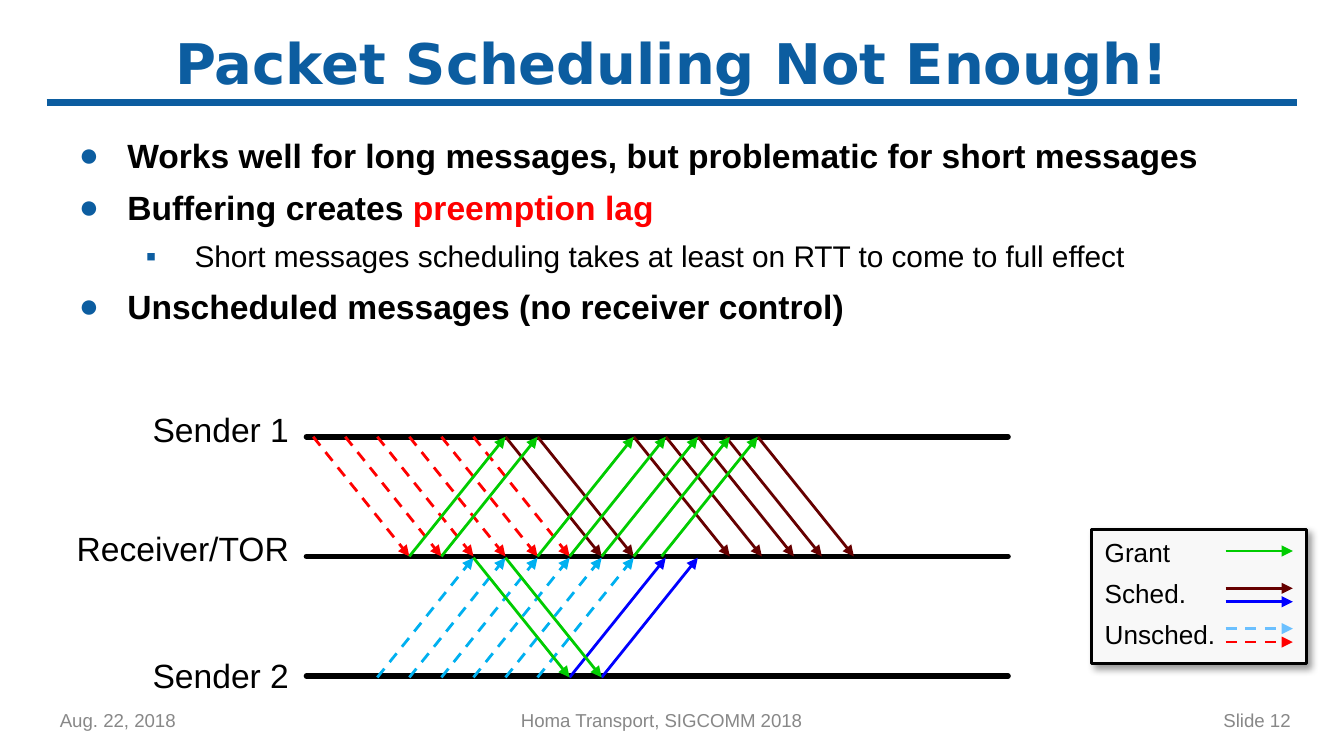
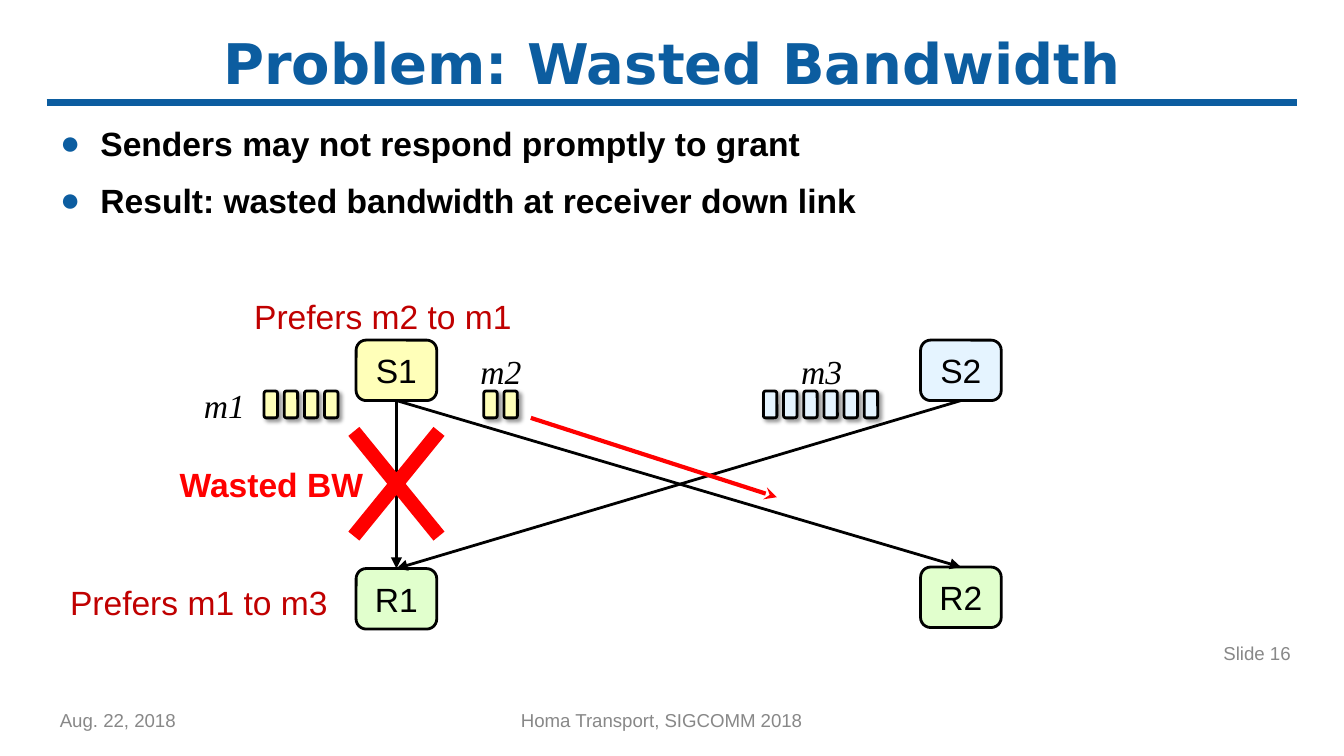
from lxml import etree
from pptx import Presentation
from pptx.dml import color as dml
from pptx.enum import dml as styles, shapes, text
from pptx.oxml import ns
from pptx.util import Pt

# Shared look
BLUE, BLACK, GREY, RED, DARK_RED = "0C5DA0", "000000", "888888", "FF0000", "C00000"
GREEN, MAROON, ROYAL, SKY, PALE_SKY = "00CC00", "660000", "0000FF", "00B0F0", "6BC0FF"
YELLOW, ICE, MINT = "FFFFB9", "E5F4FF", "E1FFCD"
SANS, TITLE_FONT, SERIF = "Arial", "DejaVu Sans", "Times New Roman"
LEFT, CENTER, RIGHT = text.PP_ALIGN.LEFT, text.PP_ALIGN.CENTER, text.PP_ALIGN.RIGHT
TOP, MIDDLE = text.MSO_ANCHOR.TOP, text.MSO_ANCHOR.MIDDLE
BOTTOM_SITE, TOP_SITE = 2, 0

# Packet diagram: senders and receiver on three time axes
STEP, FIRST_PACKET = 17.17, 167.8
FLIGHT = 3  # steps that a packet needs from one axis to the next


def rgb(hex_value):
    return dml.RGBColor.from_string(hex_value)


def assign(target, values):
    for name, value in values.items():
        setattr(target, name, value)


def place(shape, left, top, width, height):
    assign(shape, {"left": Pt(left), "top": Pt(top),
                   "width": Pt(width), "height": Pt(height)})


def add_xml(parent, tag, **attributes):
    return etree.SubElement(parent, ns.qn(tag), attributes)


# Text
def format_frame(frame, anchor=TOP, margins=(0, 0)):
    across, down = (Pt(margin) for margin in margins)
    assign(frame, {"word_wrap": True, "auto_size": text.MSO_AUTO_SIZE.NONE,
                   "vertical_anchor": anchor,
                   "margin_left": across, "margin_right": across,
                   "margin_top": down, "margin_bottom": down})


def add_run(paragraph, words, size=18, color=BLACK, name=SANS, bold=False, italic=False):
    run = paragraph.add_run()
    run.text = words
    assign(run.font, {"size": Pt(size), "name": name, "bold": bold, "italic": italic})
    run.font.color.rgb = rgb(color)


def add_label(slide, words, box, align=CENTER, anchor=TOP, margins=(0, 0), **font):
    shape = slide.shapes.add_textbox(*(Pt(length) for length in box))
    format_frame(shape.text_frame, anchor, margins)
    paragraph = shape.text_frame.paragraphs[0]
    paragraph.alignment = align
    add_run(paragraph, words, **font)


def add_bullet(frame, runs, indent, hanging, level=0, spacing=1.0, before=0, size=18):
    paragraph = frame.paragraphs[0]
    if paragraph.runs:
        paragraph = frame.add_paragraph()
    assign(paragraph, {"level": level, "line_spacing": spacing, "alignment": LEFT,
                       "space_before": Pt(before), "space_after": Pt(0)})
    properties = paragraph._p.get_or_add_pPr()
    properties.set("marL", str(Pt(indent)))
    properties.set("indent", str(-Pt(hanging)))
    add_xml(add_xml(properties, "a:buClr"), "a:srgbClr", val=BLUE)
    add_xml(properties, "a:buFont", typeface=SANS)
    add_xml(properties, "a:buChar", char="▪" if level else "●")
    for words, color in runs:
        add_run(paragraph, words, size, color, bold=level == 0)


# Lines and shapes
def add_line(slide, start, end, color=BLACK, width=1.5, head=None, dashed=False, cap=None):
    line = slide.shapes.add_connector(
        shapes.MSO_CONNECTOR.STRAIGHT, *(Pt(length) for length in (*start, *end)))
    line.line.color.rgb = rgb(color)
    line.line.width = Pt(width)
    if dashed:
        line.line.dash_style = styles.MSO_LINE.DASH
    outline = line.line._get_or_add_ln()
    if cap:
        outline.set("cap", cap)
    if head:
        add_xml(outline, "a:tailEnd", type=head)
    add_xml(line._element.spPr, "a:effectLst")
    return line


def add_shape(slide, kind, box, fill, outline=BLACK, adjust=None, shadow=None):
    shape = slide.shapes.add_shape(kind, *(Pt(length) for length in box))
    shape.shadow.inherit = False
    shape.fill.solid()
    shape.fill.fore_color.rgb = rgb(fill)
    if outline:
        shape.line.color.rgb = rgb(outline)
        shape.line.width = Pt(1.5)
    else:
        shape.line.fill.background()
    if adjust:
        shape.adjustments[0] = adjust
    if shadow:
        blur, distance = shadow
        effects = shape._element.spPr.find(ns.qn("a:effectLst"))
        outer = add_xml(effects, "a:outerShdw", blurRad=str(Pt(blur)),
                        dist=str(Pt(distance)), dir="2700000", algn="tl", rotWithShape="0")
        add_xml(add_xml(outer, "a:srgbClr", val=BLACK), "a:alpha", val="40000")
    return shape


def add_slide(presentation, title, number, number_top=375):
    slide = presentation.slides.add_slide(presentation.slide_layouts[1])
    heading, body = slide.placeholders
    place(heading, 24, 11.5, 672, 43.2)
    format_frame(heading.text_frame, MIDDLE, (7.2, 3.6))
    heading.text_frame.paragraphs[0].alignment = CENTER
    add_run(heading.text_frame.paragraphs[0], title, 30, BLUE, TITLE_FONT, bold=True)
    place(body, 25, 62, 670, 302.4)
    format_frame(body.text_frame, TOP, (7.2, 3.6))
    add_line(slide, (25, 54.9), (695, 54.9), BLUE, 3.5)
    # Footer
    for words, left, top, width, align in (
            ("Aug. 22, 2018", 25, 375, 79.2, LEFT),
            ("Homa Transport, SIGCOMM 2018", 265, 375, 178.6, CENTER),
            (f"Slide {number}", 644.5, number_top, 54, RIGHT)):
        add_label(slide, words, (left, top, width, 21.6), align, MIDDLE, (7.2, 3.6),
                  size=10, color=GREY)
    return slide, body.text_frame


# Slide 12: packet diagram
def add_packets(slide, steps, top, bottom, color, dashed=False):
    for step in steps:
        left = FIRST_PACKET + step * STEP
        add_line(slide, (left, top), (left + FLIGHT * STEP, bottom), color,
                 head="triangle", dashed=dashed)


def add_legend(slide):
    add_shape(slide, shapes.MSO_SHAPE.RECTANGLE, (584.6, 283.7, 115.2, 72), "F8F8F8",
              shadow=(4, 3))
    entries = (("Grant", 287.3, ((295.2, GREEN, False),)),
               ("Sched.", 309.6, ((315.2, MAROON, False), (322.4, ROYAL, False))),
               ("Unsched.", 331.2, ((336.8, PALE_SKY, True), (344, RED, True))))
    for words, top, arrows in entries:
        add_label(slide, words, (591.8, top, 62, 17.3), LEFT, size=14)
        for y, color, dashed in arrows:
            add_line(slide, (656.6, y), (692.6, y), color, head="triangle", dashed=dashed)


def build_scheduling(presentation):
    slide, frame = add_slide(presentation, "Packet Scheduling Not Enough!", 12)
    for level, runs in (
            (0, [("Works well for long messages, but problematic for short messages", BLACK)]),
            (0, [("Buffering creates ", BLACK), ("preemption lag", RED)]),
            (1, [("Short messages scheduling takes at least on RTT to come to full effect",
                  BLACK)]),
            (0, [("Unscheduled messages (no receiver control)", BLACK)])):
        add_bullet(frame, runs, 36 * (level + 1), 26, level, 1.3, size=16 if level else 18)

    # Time axes
    for words, axis, label_top in (("Sender 1", 234, 218.9), ("Receiver/TOR", 298.1, 283),
                                   ("Sender 2", 362.2, 350.6)):
        add_line(slide, (164.2, axis), (540, axis), width=3, cap="rnd")
        add_label(slide, words, (18.7, label_top, 136.1, 30.2), RIGHT)

    # Between sender 1 and the receiver
    add_packets(slide, range(6), 234, 298.1, RED, dashed=True)
    add_packets(slide, (6, 7, 10, 11, 12, 12.87, 13.87), 234, 298.1, MAROON)
    add_packets(slide, (3, 4, 7, 8, 9, 10, 10.87), 298.1, 234, GREEN)
    # Between sender 2 and the receiver
    add_packets(slide, range(2, 8), 362.9, 298.8, SKY, dashed=True)
    add_packets(slide, (8, 9), 362.9, 298.8, ROYAL)
    add_packets(slide, (5, 6), 298.8, 362.9, GREEN)
    add_legend(slide)


# Slide 16: hosts and queued messages
def add_host(slide, name, left, top, fill):
    host = add_shape(slide, shapes.MSO_SHAPE.ROUNDED_RECTANGLE, (left, top, 43.2, 32.4),
                     fill, adjust=0.167)
    format_frame(host.text_frame, MIDDLE, (7.2, 3.6))
    host.text_frame.paragraphs[0].alignment = CENTER
    add_run(host.text_frame.paragraphs[0], name)
    return host


def add_message(slide, name, label_at, left, count, fill):
    for index in range(count):
        add_shape(slide, shapes.MSO_SHAPE.ROUNDED_RECTANGLE,
                  (left + index * 10.8, 209.5, 7.2, 14.4), fill, adjust=0.167, shadow=(2, 2))
    add_label(slide, name, (*label_at, 22.3, 21.6), name=SERIF, italic=True)


def add_link(slide, sender, receiver):
    link = add_line(slide, (0, 0), (0, 0), head="triangle")
    link.begin_connect(sender, BOTTOM_SITE)
    link.end_connect(receiver, TOP_SITE)


def build_bandwidth(presentation):
    slide, frame = add_slide(presentation, "Problem: Wasted Bandwidth", 16, 339)
    for words, before in (("Senders may not respond promptly to grant", 0),
                          ("Result: wasted bandwidth at receiver down link", 9)):
        add_bullet(frame, [(words, BLACK)], 21.6, 21.6, before=before)

    # Hosts and links
    sender_1 = add_host(slide, "S1", 190.8, 182.2, YELLOW)
    sender_2 = add_host(slide, "S2", 493.2, 182.2, ICE)
    receiver_1 = add_host(slide, "R1", 190.8, 304.6, MINT)
    receiver_2 = add_host(slide, "R2", 493.2, 303.8, MINT)
    for sender, receiver in ((sender_2, receiver_1), (sender_1, receiver_1),
                             (sender_1, receiver_2)):
        add_link(slide, sender, receiver)

    # Messages
    add_message(slide, "m1", (109.1, 206.2), 141.5, 4, YELLOW)
    add_message(slide, "m2", (257.2, 187.9), 259.2, 2, YELLOW)
    add_message(slide, "m3", (429, 187.9), 409, 6, ICE)
    add_line(slide, (284.4, 223.9), (416.2, 266.4), RED, 2.25, "stealth")

    # Preferences and the wasted link
    add_label(slide, "Prefers m2 to m1", (108, 158.4, 194.4, 21.6), color=DARK_RED)
    add_label(slide, "Prefers m1 to m3", (32.4, 311.8, 148.3, 21.6), color=DARK_RED)
    add_shape(slide, shapes.MSO_SHAPE.MATH_MULTIPLY, (168.5, 205.2, 87.8, 108), RED,
              outline=None, adjust=0.087)
    add_label(slide, "Wasted BW", (48.2, 248.4, 194.4, 21.6), color=RED, bold=True)


def main():
    presentation = Presentation()
    assign(presentation, {"slide_width": Pt(720), "slide_height": Pt(405)})
    build_scheduling(presentation)
    build_bandwidth(presentation)
    presentation.save("out.pptx")


if __name__ == "__main__":
    main()
